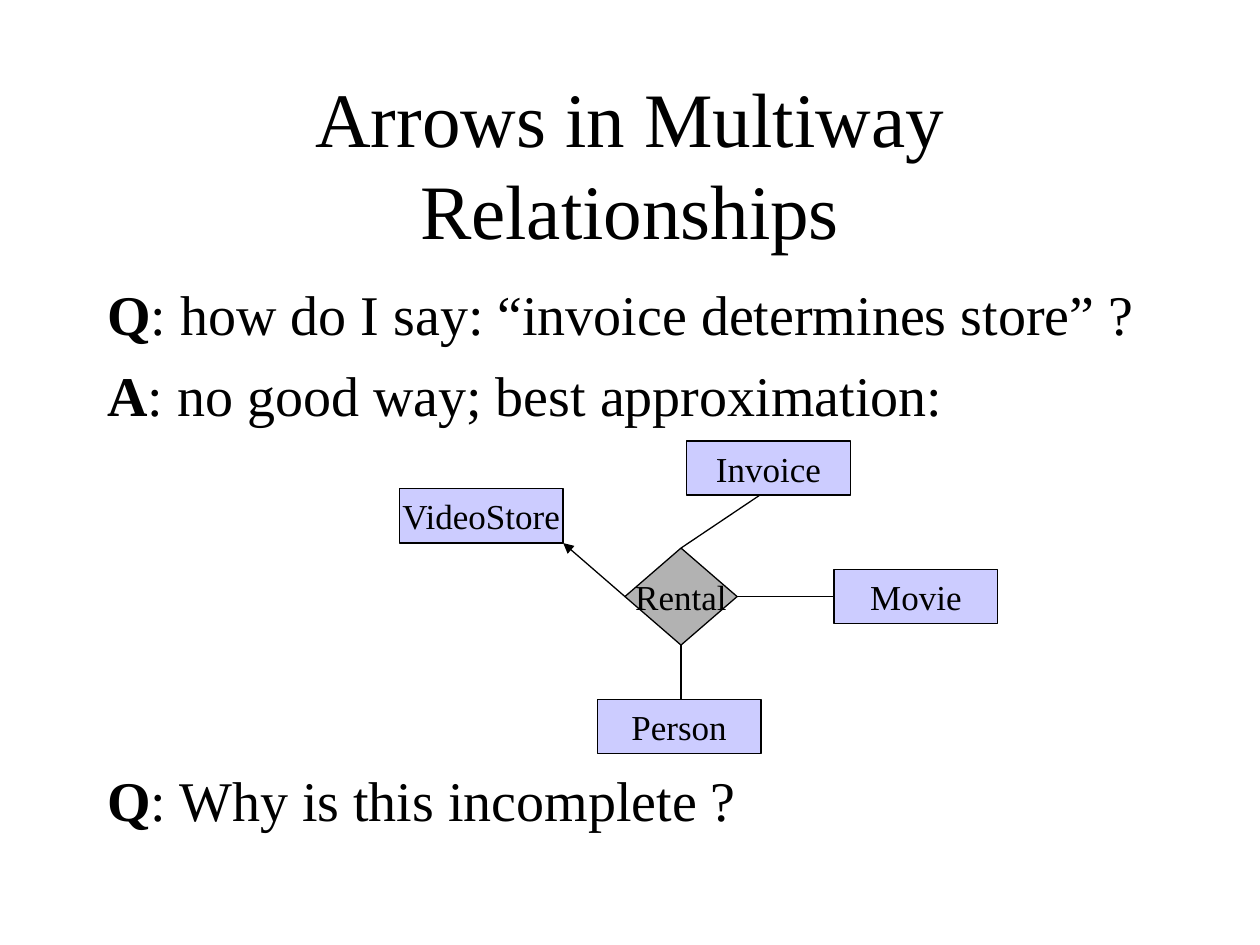
"""Build a slide on arrows in multiway relationships."""
import dataclasses

import pptx
import pptx.dml.color
import pptx.enum.shapes
import pptx.enum.text
import pptx.oxml
import pptx.oxml.ns
import pptx.util

Inches = pptx.util.Inches
Pt = pptx.util.Pt
Kind = pptx.enum.shapes.MSO_SHAPE
Align = pptx.enum.text.PP_ALIGN
Anchor = pptx.enum.text.MSO_ANCHOR

FONT = "Times New Roman"
COLORS = {"ink": "000000", "box": "CCCCFF", "gem": "B2B2B2"}
BOX_W, BOX_H = 1.3, 0.43
GEM_W, GEM_H = 0.89, 0.77


@dataclasses.dataclass
class Node:
    label: str
    left: float
    top: float
    width: float = BOX_W
    height: float = BOX_H
    kind: Kind = Kind.RECTANGLE
    fill: str = "box"

    @property
    def mid(self) -> tuple[float, float]:
        return self.left + self.width / 2, self.top + self.height / 2


@dataclasses.dataclass
class Link:
    start: tuple[float, float]
    end: tuple[float, float]
    arrow: bool = False


@dataclasses.dataclass
class Point:
    mark: str
    text: str
    gap: float


def color(name: str) -> pptx.dml.color.RGBColor:
    return pptx.dml.color.RGBColor.from_string(COLORS[name])


def style(font, size: float, bold: bool = False) -> None:
    font.name = FONT
    font.size = Pt(size)
    font.bold = bold
    font.color.rgb = color("ink")


def place(shape, left: float, top: float, width: float, height: float) -> None:
    shape.left, shape.top = Inches(left), Inches(top)
    shape.width, shape.height = Inches(width), Inches(height)
    shape.text_frame.auto_size = pptx.enum.text.MSO_AUTO_SIZE.NONE


def add_title(shape, text: str) -> None:
    place(shape, 0.75, 0.67, 8.5, 1.25)
    frame = shape.text_frame
    frame.text = text
    frame.vertical_anchor = Anchor.MIDDLE
    line = frame.paragraphs[0]
    line.alignment = Align.CENTER
    line.line_spacing = Pt(52.6)
    style(line.runs[0].font, 44)


def add_body(shape, points: list[Point]) -> None:
    place(shape, 0.75, 2.17, 8.92, 4.5)
    frame = shape.text_frame
    for index, point in enumerate(points):
        line = frame.add_paragraph() if index else frame.paragraphs[0]
        props = line._p.get_or_add_pPr()
        props.set("marL", str(Inches(0.38)))
        props.set("indent", str(-Inches(0.38)))
        props.append(pptx.oxml.parse_xml(f'<a:buNone {pptx.oxml.ns.nsdecls("a")}/>'))
        line.line_spacing = Pt(38.3)
        line.space_before = Pt(point.gap)
        for text, bold in ((point.mark, True), (point.text, False)):
            run = line.add_run()
            run.text = text
            style(run.font, 32, bold)


def add_node(shapes, node: Node) -> None:
    shape = shapes.add_shape(node.kind, Inches(node.left), Inches(node.top),
                             Inches(node.width), Inches(node.height))
    shape.shadow.inherit = False
    shape.fill.solid()
    shape.fill.fore_color.rgb = color(node.fill)
    shape.line.color.rgb = color("ink")
    shape.line.width = Pt(0.75)
    frame = shape.text_frame
    frame.word_wrap = False
    frame.vertical_anchor = Anchor.MIDDLE
    frame.text = node.label
    line = frame.paragraphs[0]
    line.alignment = Align.CENTER
    style(line.runs[0].font, 20)


def add_link(shapes, link: Link) -> None:
    line = shapes.add_connector(pptx.enum.shapes.MSO_CONNECTOR.STRAIGHT,
                                *map(Inches, link.start + link.end))
    line.line.color.rgb = color("ink")
    line.line.width = Pt(0.75)
    space = pptx.oxml.ns.nsdecls("a")
    if link.arrow:
        line.line._get_or_add_ln().append(
            pptx.oxml.parse_xml(f'<a:headEnd {space} type="triangle"/>'))
    line._element.spPr.append(pptx.oxml.parse_xml(f"<a:effectLst {space}/>"))


def main() -> None:
    deck = pptx.Presentation()
    deck.slide_width, deck.slide_height = Inches(10), Inches(7.5)
    slide = deck.slides.add_slide(deck.slide_layouts[1])
    shapes = slide.shapes
    add_title(shapes.title, "Arrows in Multiway Relationships")
    add_body(slide.placeholders[1], [
        Point("Q", ": how do I say: “invoice determines store” ?", 0),
        Point("A", ": no good way; best approximation:", 8),
        Point("Q", ": Why is this incomplete ?", 193.2),
    ])

    gem = Node("Rental", 4.96, 4.35, GEM_W, GEM_H, Kind.DIAMOND, "gem")
    store = Node("VideoStore", 3.17, 3.88)
    person = Node("Person", 4.74, 5.55)
    movie = Node("Movie", 6.62, 4.52)
    invoice = Node("Invoice", 5.45, 3.5)
    mid_x, mid_y = gem.mid
    links = [
        Link((gem.left + GEM_W, mid_y), (movie.left, mid_y)),
        Link((mid_x, gem.top + GEM_H), (mid_x, person.top)),
        Link((mid_x, gem.top), (6.03, invoice.top + BOX_H)),
        Link((store.left + BOX_W, store.top + BOX_H), (gem.left, mid_y), True),
    ]
    for node in (gem, store, person, movie, invoice):
        add_node(shapes, node)
    for link in links:
        add_link(shapes, link)
    deck.save("out.pptx")


if __name__ == "__main__":
    main()
